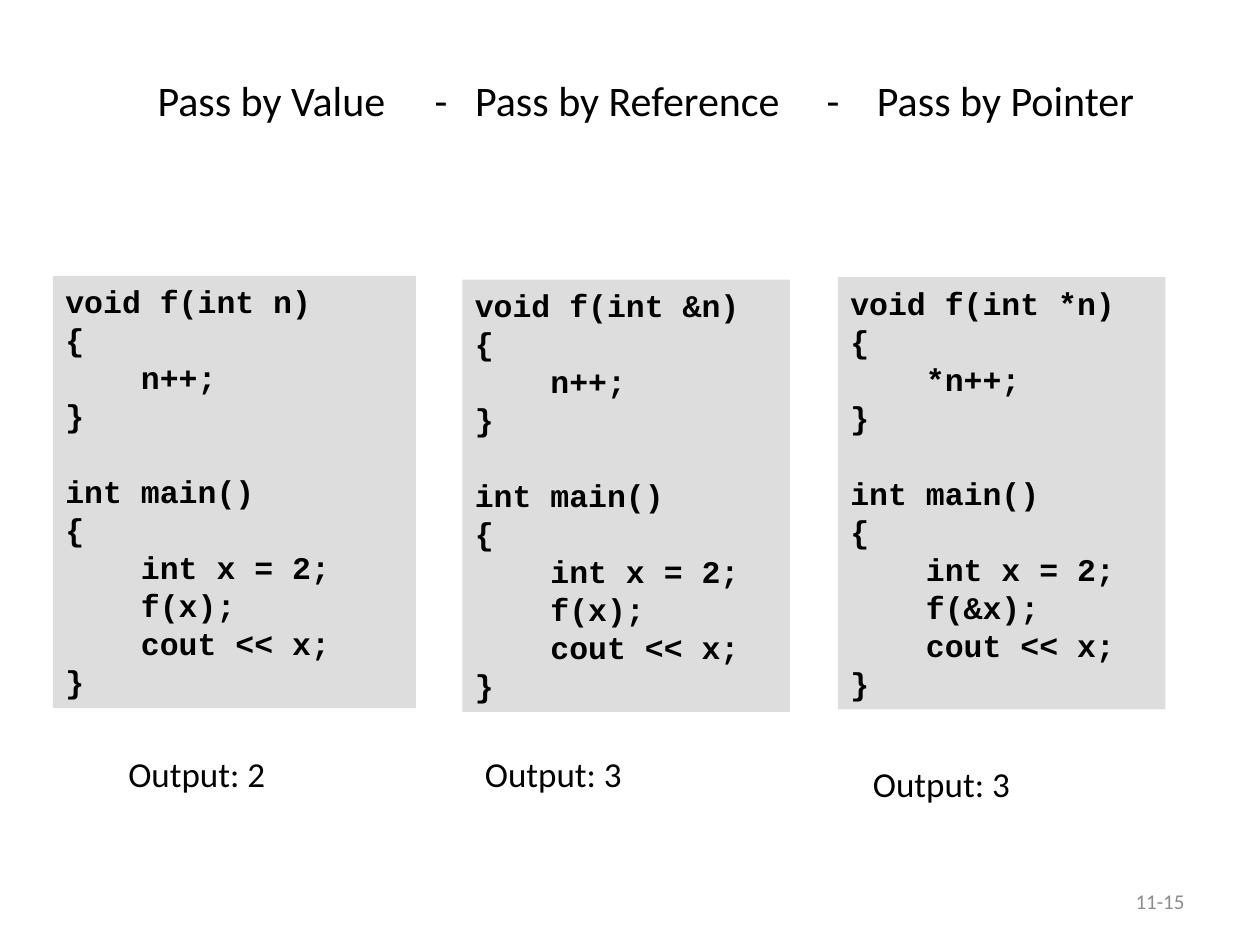
from pptx import Presentation
from pptx.dml.color import RGBColor
from pptx.enum.shapes import MSO_SHAPE
from pptx.enum.text import MSO_ANCHOR, PP_ALIGN
from pptx.oxml.ns import qn
from pptx.util import Inches, Pt
from lxml.etree import SubElement

BLACK = RGBColor(0x00, 0x00, 0x00)
GRAY = RGBColor(0x8C, 0x8C, 0x8C)
PANEL = RGBColor(0xDD, 0xDD, 0xDD)

TITLE = "Pass by Value\t-\tPass by Reference\t-\tPass by Pointer"
TABS = (2.2, 2.52, 5.31, 5.71)
PITCH = 21.7  # points from one code line to the next

# parameter, step, argument, code box (left, top, width), output, its (left, top)
CASES = [
    ("n", "n++;", "x", (0.42, 2.19, 2.88), "2", (0.92, 5.92)),
    ("&n", "n++;", "x", (3.67, 2.22, 2.6), "3", (3.75, 5.92)),
    ("*n", "*n++;", "&x", (6.65, 2.2, 2.6), "3", (6.83, 6)),
]


def write(par, text, size=20, font="Calibri", color=BLACK, bold=False,
          align=PP_ALIGN.LEFT):
    par.alignment = align
    run = par.add_run()
    run.text = text
    face = run.font
    face.size, face.name, face.bold = Pt(size), font, bold
    face.color.rgb = color


def add_box(slide, place, text, anchor=MSO_ANCHOR.TOP, **style):
    frame = slide.shapes.add_textbox(*map(Inches, place)).text_frame
    frame.word_wrap = True
    frame.vertical_anchor = anchor
    write(frame.paragraphs[0], text, **style)
    return frame


def set_tabs(par, stops):
    tabs = SubElement(par._p.get_or_add_pPr(), qn("a:tabLst"))
    for stop in stops:
        SubElement(tabs, qn("a:tab"), pos=str(Inches(stop)), algn="l")


def add_code(slide, place, blocks):
    """Draw a panel of functions, each a (head, body lines) pair."""
    panel = slide.shapes.add_shape(MSO_SHAPE.RECTANGLE, *map(Inches, place))
    panel.shadow.inherit = False
    panel.fill.solid()
    panel.fill.fore_color.rgb = PANEL
    panel.line.fill.background()
    frame = panel.text_frame
    frame.word_wrap = True
    frame.vertical_anchor = MSO_ANCHOR.TOP
    par = None
    for head, body in blocks:
        for line in (head, "{", *body, "}"):
            first = par is None
            par = frame.paragraphs[0] if first else frame.add_paragraph()
            par.line_spacing = Pt(PITCH)
            if line == head and not first:
                par.space_before = Pt(PITCH)
            if line in body:
                par._p.get_or_add_pPr().set("marL", str(Inches(0.6)))
            write(par, line, size=18, font="Courier New", bold=True)


def main():
    deck = Presentation()
    deck.slide_width, deck.slide_height = Inches(10), Inches(7.5)
    slide = deck.slides.add_slide(deck.slide_layouts[6])

    title = add_box(slide, (0.67, 0.25, 8.92, 1.08), TITLE,
                    anchor=MSO_ANCHOR.MIDDLE, size=24)
    title.margin_left = Inches(0.58)
    set_tabs(title.paragraphs[0], TABS)
    add_box(slide, (7.17, 6.95, 2.33, 0.4), "11-15", size=12, color=GRAY,
            anchor=MSO_ANCHOR.MIDDLE, align=PP_ALIGN.RIGHT)

    for param, step, arg, place, result, spot in CASES:
        blocks = [
            (f"void f(int {param})", [step]),
            ("int main()", ["int x = 2;", f"f({arg});", "cout << x;"]),
        ]
        add_code(slide, (*place, 3.43), blocks)
        add_box(slide, (*spot, 1.83, 0.44), f"Output: {result}")

    deck.save("out.pptx")


if __name__ == "__main__":
    main()
